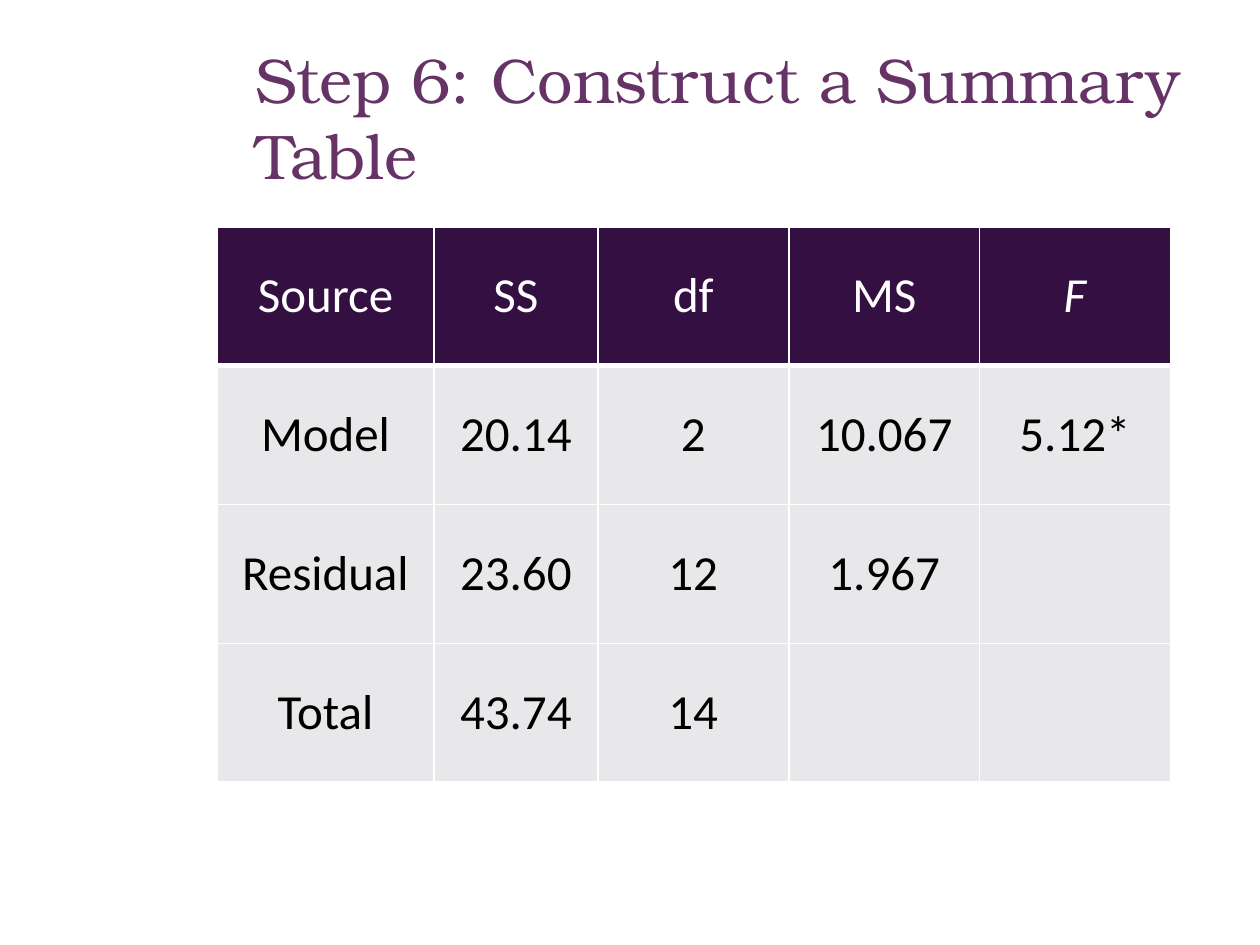
"""Build a slide with the summary table of an analysis of variance."""
import pptx
import pptx.dml.color
import pptx.enum.text
import pptx.oxml
import pptx.oxml.ns
import pptx.util

Pt = pptx.util.Pt
ANCHOR = pptx.enum.text.MSO_ANCHOR
ALIGN = pptx.enum.text.PP_ALIGN

WHITE = "FFFFFF"
COLUMN_WIDTHS = [124, 93.6, 109.2, 109, 109]
ROW_HEIGHT = 79.35
SUMMARY = [
    ["Source", "SS", "df", "MS", "F"],
    ["Model", "20.14", "2", "10.067", "5.12*"],
    ["Residual", "23.60", "12", "1.967", ""],
    ["Total", "43.74", "14", "", ""],
]


def rgb(color):
    """Return the colour object for a hex string."""
    return pptx.dml.color.RGBColor.from_string(color)


def set_font(paragraph, name, size, color):
    """Set the font of a whole paragraph."""
    paragraph.font.name = name
    paragraph.font.size = Pt(size)
    paragraph.font.color.rgb = rgb(color)


def set_borders(cell, bottom_width):
    """Draw white borders round a cell."""
    properties = cell._tc.get_or_add_tcPr()
    namespace = pptx.oxml.ns.nsdecls("a")
    for side, width in [("L", 1), ("R", 1), ("T", 1), ("B", bottom_width)]:
        properties.append(pptx.oxml.parse_xml(
            f'<a:ln{side} {namespace} w="{Pt(width)}"><a:solidFill>'
            f'<a:srgbClr val="{WHITE}"/></a:solidFill></a:ln{side}>'))


def add_title(slide, wording):
    """Add the slide title."""
    title = slide.shapes.add_textbox(Pt(139), Pt(21.6), Pt(545), Pt(90))
    frame = title.text_frame
    frame.word_wrap = True
    frame.vertical_anchor = ANCHOR.MIDDLE
    heading = frame.paragraphs[0]
    heading.text = wording
    set_font(heading, "TeX Gyre Bonum", 36, "663366")


def fill_cell(cell, wording, is_header):
    """Write and style one table cell."""
    set_borders(cell, 3 if is_header else 1)
    cell.fill.solid()
    cell.fill.fore_color.rgb = rgb("330F42" if is_header else "E8E7E9")
    cell.vertical_anchor = ANCHOR.MIDDLE
    entry = cell.text_frame.paragraphs[0]
    entry.text = wording
    entry.alignment = ALIGN.CENTER
    entry.space_before = Pt(5.6)
    set_font(entry, "Calibri", 28, WHITE if is_header else "000000")
    entry.font.bold = False
    entry.font.italic = wording == "F"


def add_summary_table(slide, rows):
    """Add the table of sums of squares, degrees of freedom and F."""
    summary = slide.shapes.add_table(
        len(rows), len(COLUMN_WIDTHS), Pt(124), Pt(129.6),
        Pt(sum(COLUMN_WIDTHS)), Pt(ROW_HEIGHT * len(rows))).table
    summary.horz_banding = False
    for column, width in zip(summary.columns, COLUMN_WIDTHS):
        column.width = Pt(width)
    for row_index, entries in enumerate(rows):
        summary.rows[row_index].height = Pt(ROW_HEIGHT)
        for column_index, wording in enumerate(entries):
            fill_cell(summary.cell(row_index, column_index), wording, row_index == 0)


def main():
    """Build and save the slide."""
    presentation = pptx.Presentation()
    presentation.slide_width = Pt(720)
    presentation.slide_height = Pt(540)
    slide = presentation.slides.add_slide(presentation.slide_layouts[6])
    add_title(slide, "Step 6: Construct a Summary Table")
    add_summary_table(slide, SUMMARY)
    presentation.save("out.pptx")


main()
